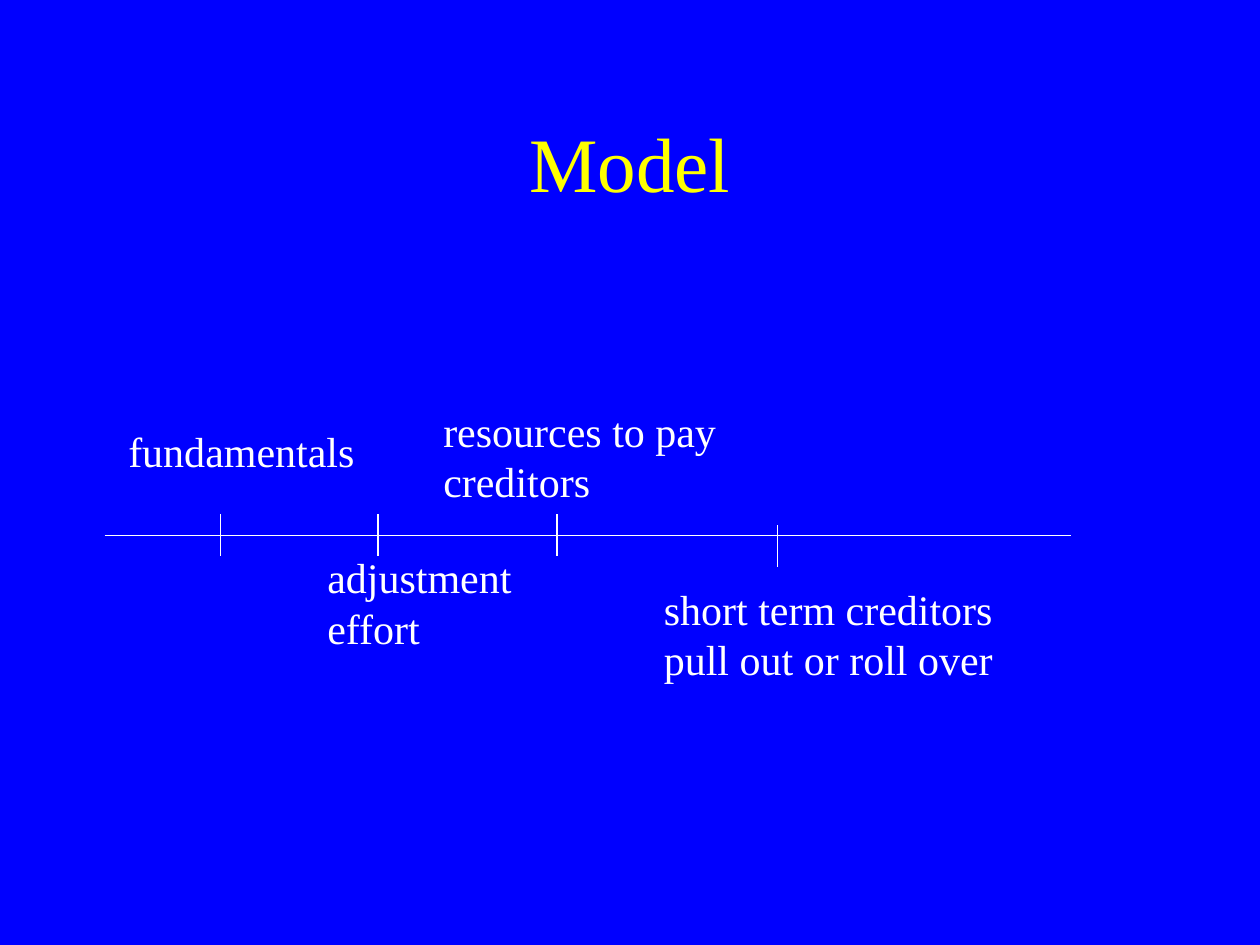
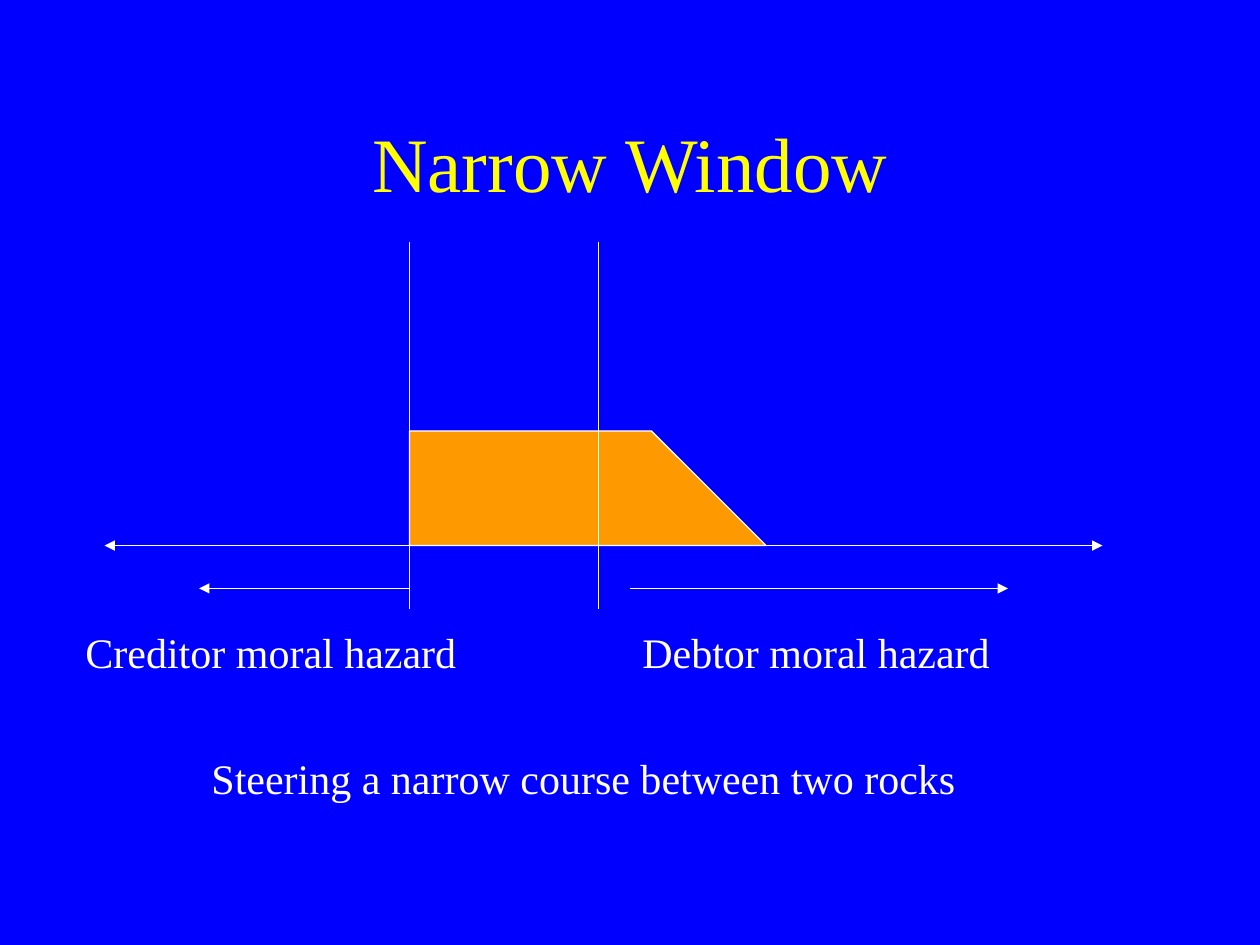
from dataclasses import dataclass

import pptx
import pptx.dml.color
import pptx.enum.shapes
import pptx.enum.text
import pptx.oxml
import pptx.oxml.ns
import pptx.util
from pptx.util import Inches

ALIGN = pptx.enum.text.PP_ALIGN
ANCHOR = pptx.enum.text.MSO_ANCHOR
AUTO_SIZE = pptx.enum.text.MSO_AUTO_SIZE
RGB = pptx.dml.color.RGBColor


@dataclass(frozen=True)
class Theme:
    background: RGB = RGB(0x00, 0x00, 0xFF)
    title: RGB = RGB(0xFF, 0xFF, 0x00)
    ink: RGB = RGB(0xFF, 0xFF, 0xFF)
    window: RGB = RGB(0xFF, 0x99, 0x00)
    font: str = "Times New Roman"
    title_size: int = 44
    label_size: int = 24
    line_width: float = 0.75


THEME = Theme()


def add_text(s, lines, box, size, color, align=ALIGN.LEFT, **frame):
    """Add one paragraph per line; frame holds text frame settings."""
    tf = s.shapes.add_textbox(*map(Inches, box)).text_frame
    for name, value in frame.items():
        setattr(tf, name, value)
    for i, line in enumerate(lines):
        p = tf.paragraphs[0] if i == 0 else tf.add_paragraph()
        p.alignment = align
        r = p.add_run()
        r.text = line
        font = {"name": THEME.font, "size": pptx.util.Pt(size)}
        for name, value in font.items():
            setattr(r.font, name, value)
        r.font.color.rgb = color


def add_label(s, left, top, width, *lines):
    """Add a label that never wraps and grows with its text."""
    box = (left, top, width, 0.1 + 0.4 * len(lines))
    add_text(s, lines, box, THEME.label_size, THEME.ink,
             word_wrap=False, auto_size=AUTO_SIZE.SHAPE_TO_FIT_TEXT)


def add_titled_slide(prs, title):
    s = prs.slides.add_slide(prs.slide_layouts[6])
    fill = s.background.fill
    fill.solid()
    fill.fore_color.rgb = THEME.background
    add_text(s, [title], (0.75, 0.66, 8.5, 1.25), THEME.title_size,
             THEME.title, ALIGN.CENTER, word_wrap=True,
             vertical_anchor=ANCHOR.MIDDLE)
    return s


def style_line(line):
    line.color.rgb = THEME.ink
    line.width = pptx.util.Pt(THEME.line_width)


def add_line(s, start, end, arrows=()):
    """Draw a line; arrows names the ends with a triangle, headEnd first."""
    line = s.shapes.add_connector(pptx.enum.shapes.MSO_CONNECTOR.STRAIGHT,
                                  *map(Inches, (*start, *end)))
    style_line(line.line)
    sp_pr = line._element.spPr
    ln = sp_pr.find(pptx.oxml.ns.qn("a:ln"))
    for end_name in arrows:
        arrow = pptx.oxml.ns.qn(f"a:{end_name}")
        ln.append(ln.makeelement(arrow, {"type": "triangle"}))
    sp_pr.append(sp_pr.makeelement(pptx.oxml.ns.qn("a:effectLst"), {}))


def add_polygon(s, points, fill):
    first, *rest = [tuple(map(Inches, point)) for point in points]
    builder = s.shapes.build_freeform(*first)
    builder.add_line_segments(rest, close=True)
    sp = builder.convert_to_shape()
    sp.shadow.inherit = False
    sp.fill.solid()
    sp.fill.fore_color.rgb = fill
    style_line(sp.line)


def build_model(prs):
    s = add_titled_slide(prs, "Model")
    add_line(s, (0.83, 4.25), (8.5, 4.25))
    for x, top in ((1.75, 4.08), (3, 4.08), (4.42, 4.08), (6.17, 4.17)):
        add_line(s, (x, top), (x, top + 0.33))
    add_label(s, 0.92, 3.33, 2, "fundamentals")
    add_label(s, 2.5, 4.33, 1.67, "adjustment", "effort")
    add_label(s, 3.42, 3.17, 2.37, "resources to pay", "creditors")
    add_label(s, 5.17, 4.58, 2.82, "short term creditors",
              "pull out or roll over")


def build_narrow_window(prs):
    s = add_titled_slide(prs, "Narrow Window")
    axis_y, arrow_y, label_y = 4.33, 4.67, 4.92
    window_left, window_right = 3.25, 4.75
    add_line(s, (0.83, axis_y), (8.75, axis_y), ("headEnd", "tailEnd"))
    add_polygon(s, [(window_left, 3.42), (window_left, axis_y),
                    (6.08, axis_y), (5.17, 3.42)], THEME.window)
    add_line(s, (window_left, arrow_y), (1.58, arrow_y), ("tailEnd",))
    add_label(s, 0.58, label_y, 3.15, "Creditor moral hazard")
    add_line(s, (5, arrow_y), (8, arrow_y), ("tailEnd",))
    add_label(s, 5, label_y, 2.97, "Debtor moral hazard")
    for x in (window_left, window_right):
        add_line(s, (x, 1.92), (x, 4.83))
    add_label(s, 1.58, 5.92, 6.12, "Steering a narrow course between two rocks")


def main():
    prs = pptx.Presentation()
    prs.slide_width, prs.slide_height = Inches(10), Inches(7.5)
    build_model(prs)
    build_narrow_window(prs)
    prs.save("out.pptx")


if __name__ == "__main__":
    main()
